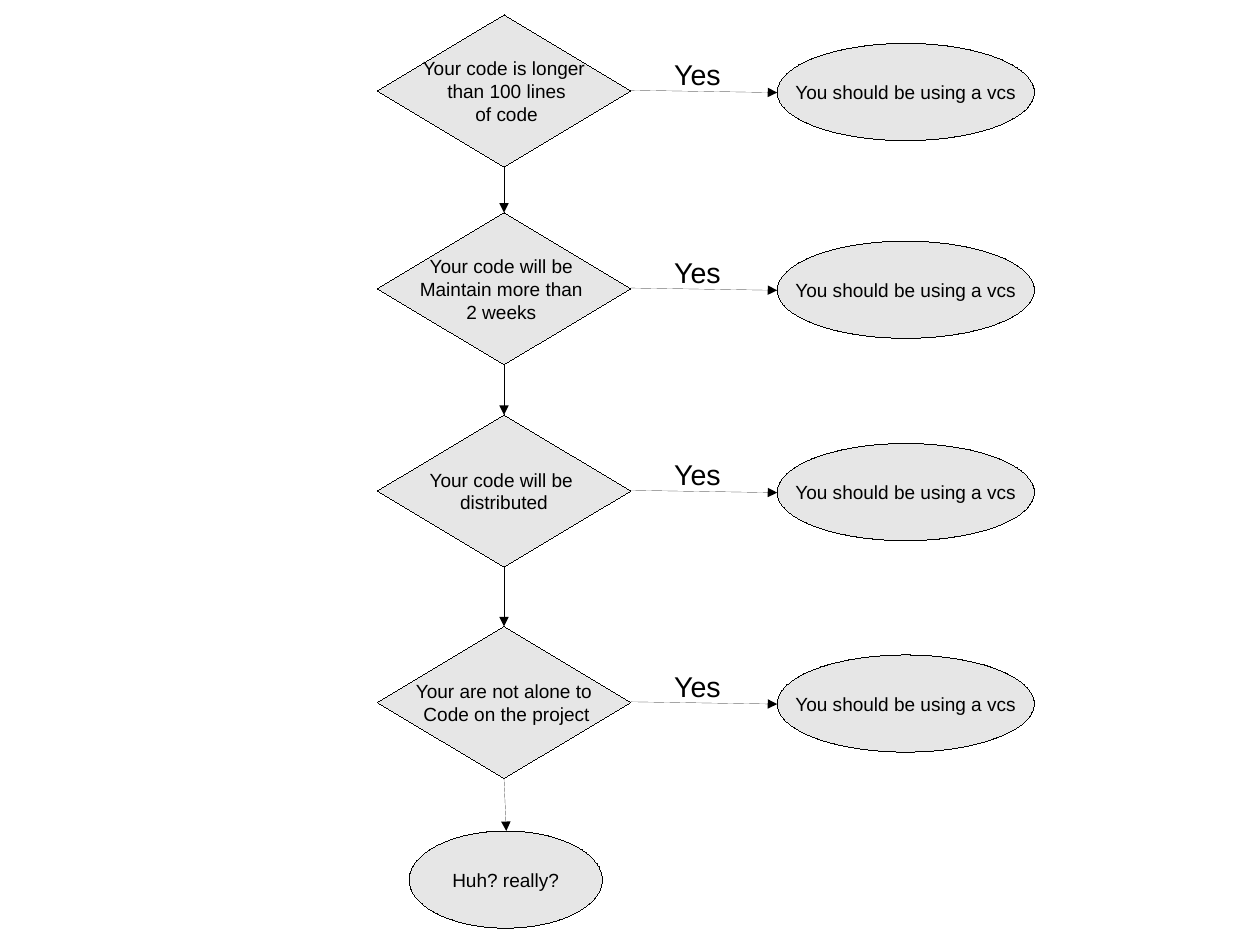
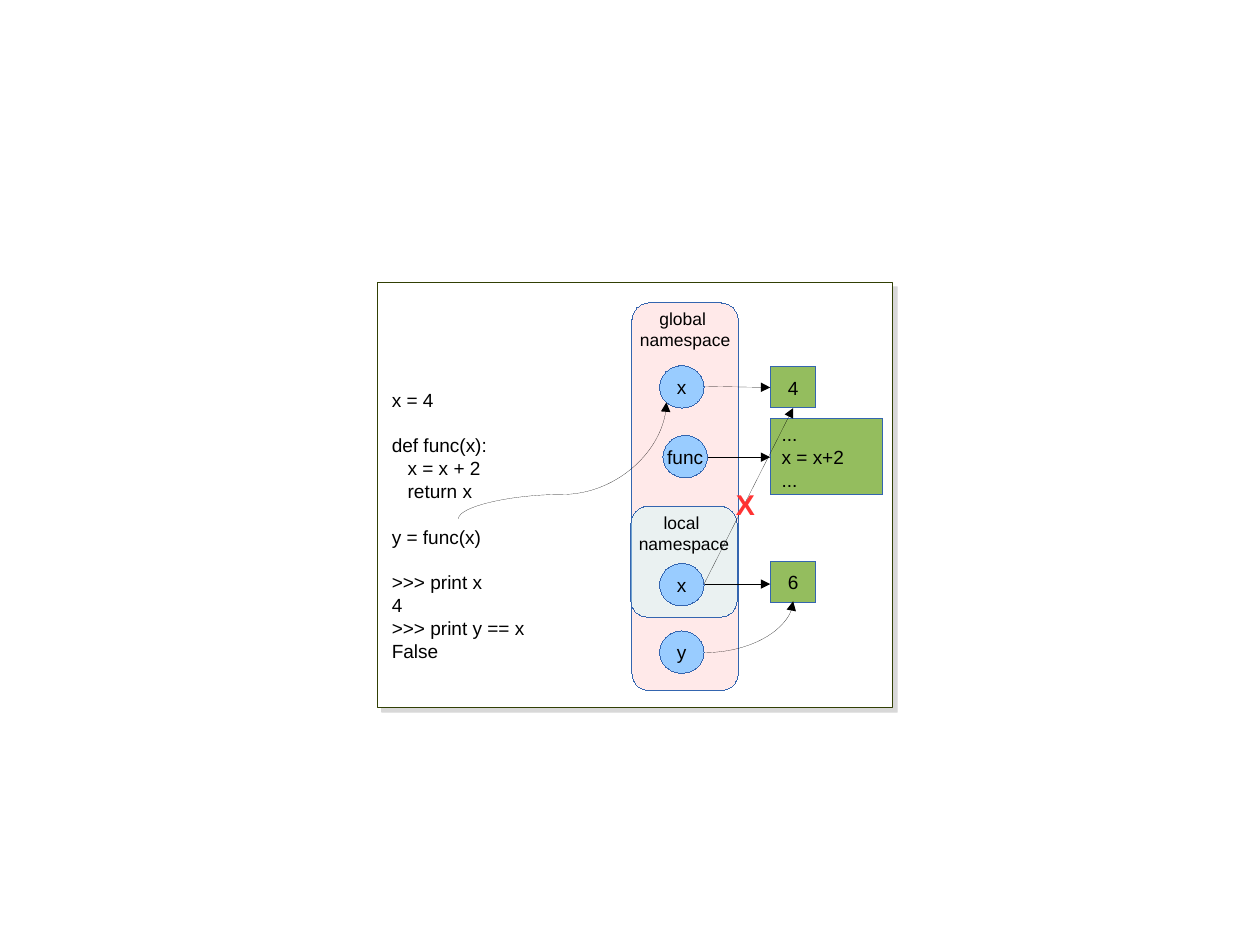
from lxml import etree
from pptx import Presentation
from pptx.dml.color import RGBColor
from pptx.enum import shapes, text
from pptx.oxml import ns
from pptx.util import Emu, Inches, Pt

COLORS = {
    "ink": "000000", "step": "E6E6E6", "paper": "FFFFFF", "frame": "314004",
    "outline": "3465AF", "global": "FFC8C8", "local": "CCFFFF",
    "name": "99CCFF", "value": "94BD5E", "cross": "FF3333", "shade": "808080",
}
KIND = shapes.MSO_SHAPE
LINK = shapes.MSO_CONNECTOR
CENTER, LEFT = text.PP_ALIGN.CENTER, text.PP_ALIGN.LEFT


def add_item(slide, kind, at, lines, fill=None, outline="ink", size=12,
             align=CENTER, color="ink", bold=None):
    """Add a preset shape, or a text box when kind is None."""
    place = [Inches(v) for v in at]
    if kind is None:
        item = slide.shapes.add_textbox(*place)
        item.text_frame.auto_size = text.MSO_AUTO_SIZE.SHAPE_TO_FIT_TEXT
    else:
        item = slide.shapes.add_shape(kind, *place)
        # Without the theme style, zero width stays a hairline
        item._element.remove(item._element.find(ns.qn("p:style")))
        item.shadow.inherit = False
        item.fill.solid()
        item.fill.fore_color.rgb = RGBColor.from_string(COLORS[fill])
        item.line.color.rgb = RGBColor.from_string(COLORS[outline])
        item.line.width = Pt(0)
        item.text_frame.vertical_anchor = text.MSO_ANCHOR.MIDDLE
    frame = item.text_frame
    frame.word_wrap = False
    for i, line in enumerate(lines):
        paragraph = frame.add_paragraph() if i else frame.paragraphs[0]
        paragraph.alignment = align
        run = paragraph.add_run()
        run.text = line
        run.font.name, run.font.size, run.font.bold = "Arial", Pt(size), bold
        run.font.color.rgb = RGBColor.from_string(COLORS[color])
    return item


def add_arrow(slide, start, end, kind=LINK.STRAIGHT):
    """Add a hairline connector with a triangle at its end."""
    arrow = slide.shapes.add_connector(kind, *[Inches(v) for v in start + end])
    arrow._element.remove(arrow._element.find(ns.qn("p:style")))
    arrow.line.color.rgb = RGBColor.from_string(COLORS["ink"])
    arrow.line.width = Pt(0)
    outline = arrow._element.spPr.find(ns.qn("a:ln"))
    etree.SubElement(outline, ns.qn("a:tailEnd"), type="triangle")
    etree.SubElement(arrow._element.spPr, ns.qn("a:effectLst"))
    return arrow


# Slide size: 28 by 21 cm, in the exact units of the template
prs = Presentation()
prs.slide_width, prs.slide_height = Emu(10080625), Emu(7559675)
blank = prs.slide_layouts[6]

# Slide 1: decision chart
decision = prs.slides.add_slide(blank)
questions = [
    (0.13, ["Your code is longer", " than 100 lines", " of code"]),
    (1.86, ["Your code will be ", "Maintain more than ", "2 weeks "]),
    (3.63, ["Your code will be ", "distributed"]),
    (5.48, ["Your are not alone to", " Code on the project"]),
]
middle, diamond_height = 4.41, 1.33
for top, question in questions:
    add_item(decision, KIND.DIAMOND, (3.3, top, 2.22, diamond_height), question, "step")
    add_item(decision, KIND.OVAL, (6.8, top + 0.25, 2.25, 0.85),
             ["You should be using a vcs"], "step")
    add_arrow(decision, (5.52, top + 0.66), (6.8, top + 0.68))
    add_item(decision, None, (5.8, top + 0.32, 0.61, 0.38), ["Yes"], size=18, align=LEFT)

# Final answer and the arrows down to it
add_item(decision, KIND.OVAL, (3.58, 7.27, 1.69, 0.85), ["Huh? really?"], "step")
ends = [(middle, top) for top, _ in questions[1:]] + [(4.43, 7.27)]
for (top, _), end in zip(questions, ends):
    add_arrow(decision, (middle, top + diamond_height), end)

# Slide 2: namespaces, on a framed panel with a shadow
scopes = prs.slides.add_slide(blank)
panel = add_item(scopes, KIND.RECTANGLE, (3.3, 2.47, 4.51, 3.72), [], "paper", "frame")
panel.line.width = Pt(0.71)
effects = panel._element.spPr.find(ns.qn("a:effectLst"))
shadow = etree.SubElement(effects, ns.qn("a:outerShdw"), dist=str(Pt(4.1)),
                          dir="2700000", algn="tl", rotWithShape="0")
shade = etree.SubElement(shadow, ns.qn("a:srgbClr"), val=COLORS["shade"])
etree.SubElement(shade, ns.qn("a:alpha"), val="30000")

# Code listing, with a line's gap before each block
code = add_item(scopes, None, (3.33, 3.35, 1.36, 2.59), [
    "x = 4",
    "def func(x):", "   x = x + 2", "   return x",
    "y = func(x)",
    ">>> print x", "4", ">>> print y == x", "False",
], align=LEFT)
for paragraph in code.text_frame.paragraphs:
    if paragraph.text in ("def func(x):", "y = func(x)", ">>> print x"):
        paragraph.space_before = Pt(14.2)

# Translucent namespaces with their labels
for scope, left, top, height in [("global", 5.53, 2.65, 3.39), ("local", 5.52, 4.43, 0.97)]:
    area = add_item(scopes, KIND.ROUNDED_RECTANGLE, (left, top, 0.93, height), [],
                    scope, "outline")
    area.adjustments[0] = 0.16
    tint = area._element.spPr.find(ns.qn("a:solidFill"))[0]
    etree.SubElement(tint, ns.qn("a:alpha"), val="40000")
    add_item(scopes, None, (left - 0.03, top, 0.99, 0.45), [scope + " ", "namespace"], size=11)

# Values
for value, top in [("4", 3.21), ("6", 4.91)]:
    add_item(scopes, KIND.RECTANGLE, (6.74, top, 0.4, 0.36), [value], "value", "outline")
add_item(scopes, KIND.RECTANGLE, (6.74, 3.66, 0.98, 0.67), ["...", "x = x+2", "..."],
         "value", "outline", align=LEFT)

# Straight arrows from names to values
for start, end in [((6.16, 3.38), (6.74, 3.39)), ((6.19, 4), (6.74, 4)),
                   ((6.16, 5.11), (6.74, 5.11)), ((6.16, 5.11), (6.94, 3.57))]:
    add_arrow(scopes, start, end)

# Names
for name, left, top in [("x", 5.77, 3.2), ("func", 5.8, 3.81),
                        ("x", 5.77, 4.93), ("y", 5.77, 5.52)]:
    add_item(scopes, KIND.OVAL, (left, top, 0.39, 0.37), [name], "name", "outline")

# Curve from the call to the global x, turned a quarter
call_curve = add_arrow(scopes, (5.43, 4.94), (4.41, 3.12), LINK.CURVE)
call_curve._element.spPr.find(ns.qn("a:xfrm")).set("rot", "5400000")
geometry = call_curve._element.spPr.find(ns.qn("a:prstGeom"))
guides = geometry.find(ns.qn("a:avLst"))
etree.SubElement(guides, ns.qn("a:gd"), name="adj1", fmla="val 21000")

# Curve from y to its value
y_curve = add_arrow(scopes, (6.16, 5.71), (6.94, 5.26), LINK.CURVE)
y_curve._element.spPr.find(ns.qn("a:prstGeom")).set("prst", "curvedConnector2")

# Cross on the forbidden link
add_item(scopes, None, (6.34, 4.21, 0.36, 0.38), ["X"], size=18, align=LEFT,
         color="cross", bold=True)

prs.save("out.pptx")
